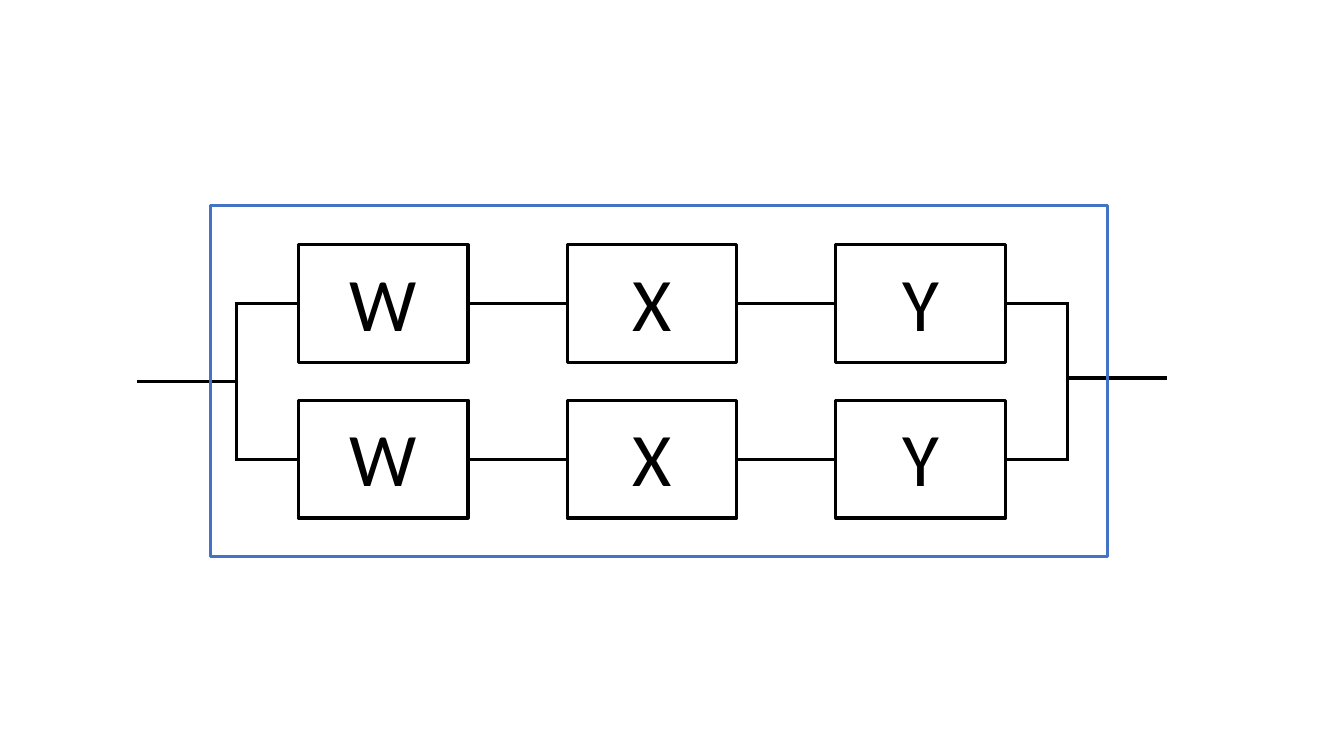
from lxml import etree
from pptx import Presentation
from pptx.dml.color import RGBColor
from pptx.enum.shapes import MSO_CONNECTOR, MSO_SHAPE
from pptx.enum.text import MSO_AUTO_SIZE, PP_ALIGN
from pptx.oxml.ns import qn
from pptx.util import Pt

BLACK = "000000"
BLUE = "4472C4"
LINE_WIDTH = 2.25
BLOCK_WIDTH, BLOCK_HEIGHT = 121.2, 84.2
LABEL_WIDTHS = {"W": 63.4, "X": 42.5, "Y": 41}
TOP, LEFT, BOTTOM, RIGHT = range(4)


def color(value):
    return RGBColor.from_string(value)


def add_outline(shapes, left, top, width, height, line_color=BLACK):
    """Add an unfilled rectangle."""
    shape = shapes.add_shape(MSO_SHAPE.RECTANGLE, Pt(left), Pt(top), Pt(width), Pt(height))
    shape.shadow.inherit = False
    shape.fill.background()
    shape.line.color.rgb = color(line_color)
    shape.line.width = Pt(LINE_WIDTH)
    return shape


def add_text(shapes, text, left, top, width, height, *, size=54, font="Calibri",
             text_color=BLACK, align=PP_ALIGN.CENTER):
    shape = shapes.add_textbox(Pt(left), Pt(top), Pt(width), Pt(height))
    frame = shape.text_frame
    frame.word_wrap = False
    frame.auto_size = MSO_AUTO_SIZE.SHAPE_TO_FIT_TEXT
    paragraph = frame.paragraphs[0]
    paragraph.alignment = align
    run = paragraph.add_run()
    run.text = text
    run.font.size = Pt(size)
    run.font.name = font
    run.font.color.rgb = color(text_color)


def add_wire(slide, x1, y1, x2, y2, start=None, end=None):
    """Add a straight line, joined to the right of start and the left of end."""
    wire = slide.shapes.add_connector(MSO_CONNECTOR.STRAIGHT, Pt(x1), Pt(y1), Pt(x2), Pt(y2))
    wire.line.color.rgb = color(BLACK)
    wire.line.width = Pt(LINE_WIDTH)
    properties = wire._element.spPr
    etree.SubElement(properties, qn("a:effectLst"))
    if start is not None:
        wire.begin_connect(start, RIGHT)
    if end is not None:
        wire.end_connect(end, LEFT)


def add_block(slide, letter, left, top):
    """Add a lettered box as a group and return its rectangle."""
    group = slide.shapes.add_group_shape()
    block = add_outline(group.shapes, left, top, BLOCK_WIDTH, BLOCK_HEIGHT)
    width = LABEL_WIDTHS[letter]
    add_text(group.shapes, letter, left + (BLOCK_WIDTH - width) / 2, top + 4.3, width, 72.7)
    return block


def add_chain(slide, letters, left, right, top):
    """Add a row of blocks in series between two rails."""
    first, step = left + 43.9, 192
    middle = top + BLOCK_HEIGHT / 2
    blocks = [add_block(slide, letter, first + index * step, top)
              for index, letter in enumerate(letters)]
    add_wire(slide, left, middle, first, middle, end=blocks[0])
    for index, (start, end) in enumerate(zip(blocks, blocks[1:])):
        x = first + index * step
        add_wire(slide, x + BLOCK_WIDTH, middle, x + step, middle, start, end)
    add_wire(slide, first + (len(blocks) - 1) * step + BLOCK_WIDTH, middle,
             right, middle, start=blocks[-1])


def add_parallel_system(slide, left, top, width, height):
    """Add two equal chains in parallel, with leads, inside a frame."""
    rail_left, rail_right = left + 18.8, left + width - 28.5
    row_tops = [top + 28, top + 139]
    for row_top in row_tops:
        add_chain(slide, "WXY", rail_left, rail_right, row_top)
    rail_top, rail_bottom = (row_top + BLOCK_HEIGHT / 2 for row_top in row_tops)
    overlap = LINE_WIDTH / 2
    for x in (rail_left, rail_right):
        add_wire(slide, x, rail_top - overlap, x, rail_bottom + overlap)
    lead = 71
    input_y, output_y = top + 125.4, top + 123.1
    add_wire(slide, rail_left - lead, input_y, rail_left, input_y)
    add_wire(slide, rail_right, output_y, rail_right + lead, output_y)
    add_outline(slide.shapes, left, top, width, height, BLUE)


def main():
    presentation = Presentation()
    presentation.slide_width = Pt(960)
    presentation.slide_height = Pt(540)
    slide = presentation.slides.add_slide(presentation.slide_layouts[6])
    add_parallel_system(slide, left=150.4, top=146.9, width=640.8, height=250.6)
    presentation.save("out.pptx")


if __name__ == "__main__":
    main()
